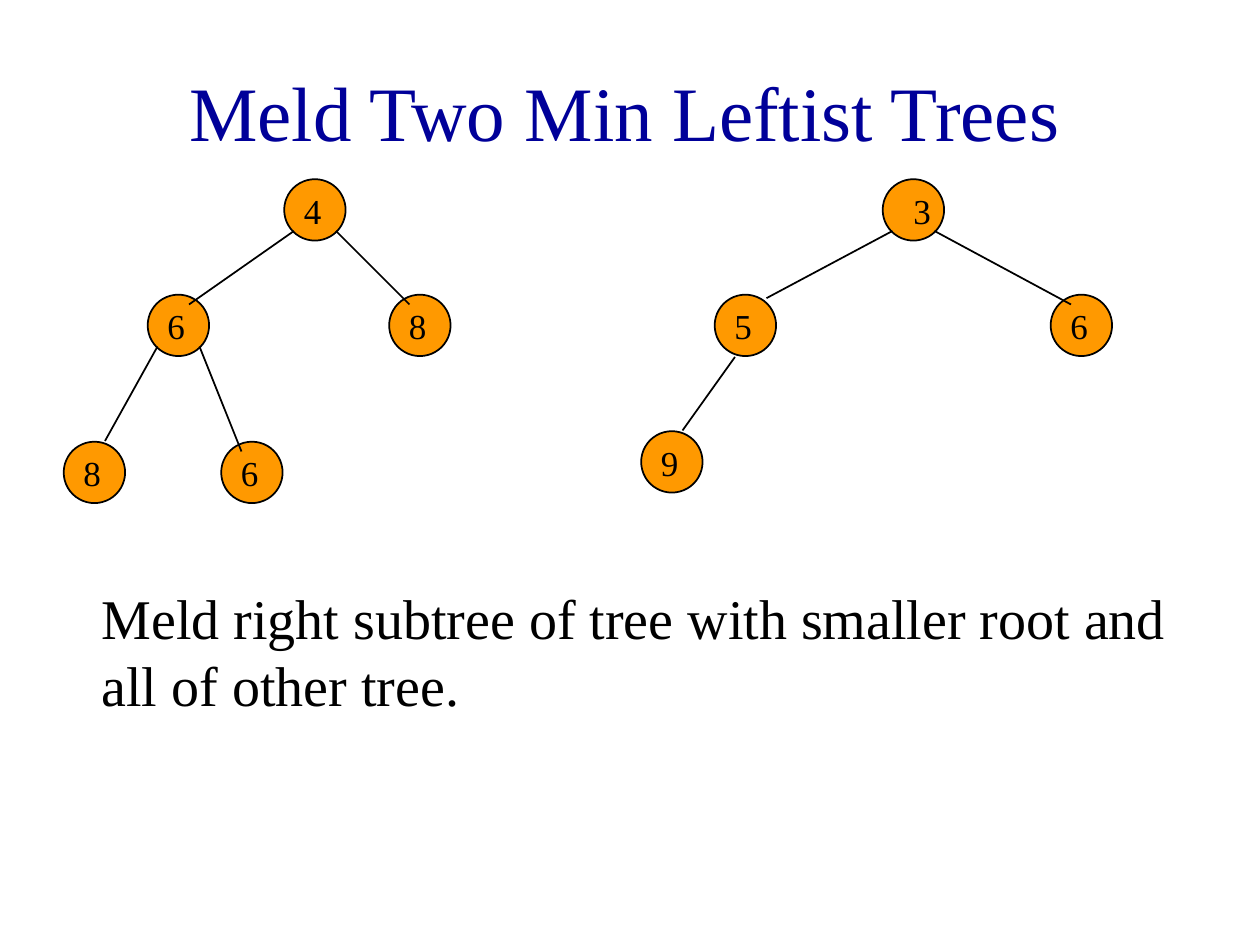
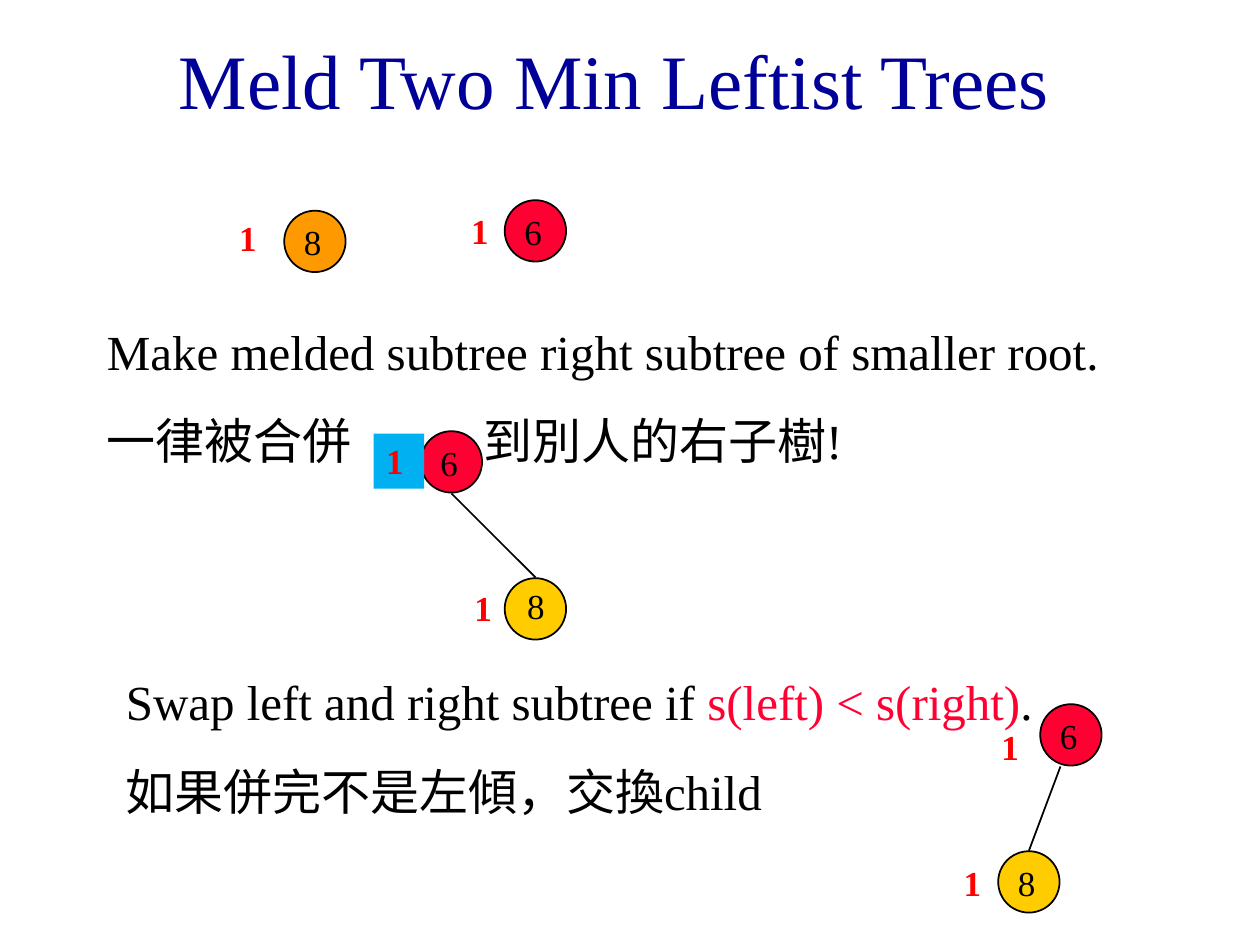
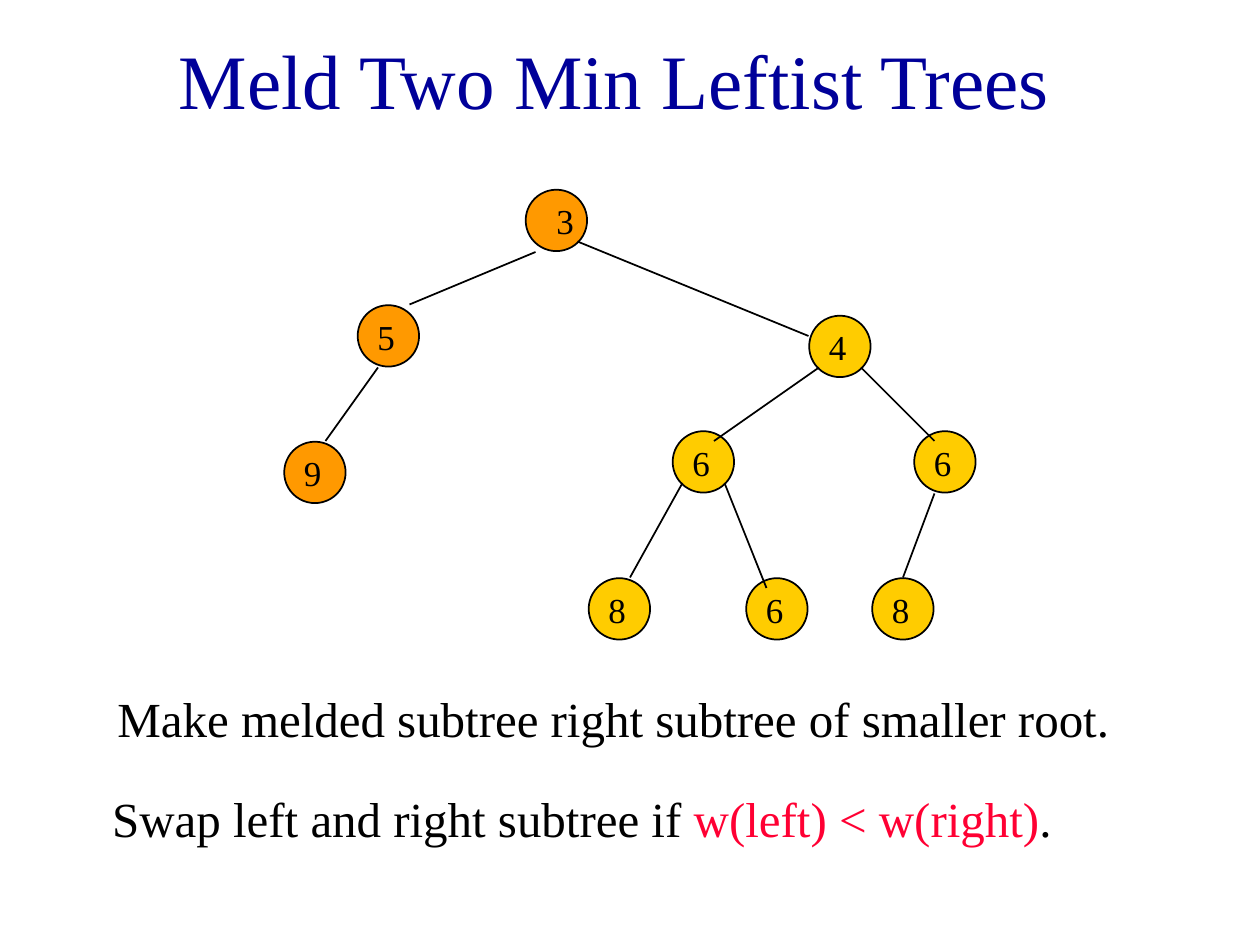
from pptx import Presentation
from pptx.dml.color import RGBColor as Rgb
from pptx.enum.shapes import MSO_CONNECTOR as Link, MSO_SHAPE as Kind
from pptx.enum.text import MSO_ANCHOR as Anchor, PP_ALIGN as Align
from pptx.oxml.ns import qn
from pptx.util import Inches, Pt
from lxml.etree import SubElement

# Shared grid: 120 columns by 90 rows
WIDE, HIGH = Inches(10), Inches(7.5)
COLS, ROWS = 120, 90
NODE = 5.85

# Shared style
FONT = "Times New Roman"
NAVY, BLACK, RED, MARK = "000099", "000000", "FF0033", "FF0000"
ORANGE, GOLD, BLUE = "FF9900", "FFCC00", "00B0F0"
TITLE = "Meld Two Min Leftist Trees"

# Trees: nodes are (digit, column, row), edges are (column, row, column, row)
FOUR = [("4", 27, 17), ("6", 14, 28), ("8", 6, 42), ("6", 21, 42)]
FOUR_EDGES = [(28, 22, 18, 29), (32, 22, 39, 29), (15, 33, 10, 42), (19, 33, 23, 43)]
FOUR_RIGHT = (37, 28)
THREE = [("3", 84, 17), ("5", 68, 28), ("9", 61, 41)]
THREE_EDGES = [(70, 34, 65, 41)]


def color(code):
    return Rgb.from_string(code)


def across(cols):
    return int(WIDE * cols / COLS)


def down(rows):
    return int(HIGH * rows / ROWS)


def area(col, row, wide, high):
    return across(col), down(row), across(wide), down(high)


def style(para, size, tint, bold=False):
    for run in para.runs:
        font = run.font
        font.name, font.size, font.bold = FONT, Pt(size), bold
        font.color.rgb = color(tint)


def label(slide, text, box, size, tint=BLACK, bold=False, wrap=True):
    shape = slide.shapes.add_textbox(*area(*box))
    frame = shape.text_frame
    frame.word_wrap = wrap
    frame.text = text
    for para in frame.paragraphs:
        style(para, size, tint, bold)
    return shape


def title(slide, col=0, row=0):
    frame = label(slide, TITLE, (col, row, 117, 15), 44, NAVY).text_frame
    frame.vertical_anchor = Anchor.MIDDLE
    frame.paragraphs[0].alignment = Align.CENTER


def body(slide, text, box, size=28):
    paras = label(slide, text, box, size).text_frame.paragraphs
    for para in paras[1:]:
        para.space_before = Pt(17.5)
    return paras


def swap(slide, test, more, box):
    """Rule for swapping, with its test in red."""
    para = body(slide, "Swap left and right subtree if " + more, box)[0]
    for text, tint in ((test, RED), (".", BLACK)):
        run = para.add_run()
        run.text = text
        style(para, 28, BLACK)
    para.runs[1].font.color.rgb = color(RED)


def tab(para, inches):
    props = para._p.get_or_add_pPr()
    stops = SubElement(props, qn("a:tabLst"))
    SubElement(stops, qn("a:tab"), pos=str(Inches(inches)), algn="l")


def node(slide, digit, col, row, fill=ORANGE, dx=0.7, dy=0.35):
    disc = slide.shapes.add_shape(Kind.OVAL, *area(col + 0.07, row + 0.07, NODE, NODE))
    disc.shadow.inherit = False
    disc.fill.solid()
    disc.fill.fore_color.rgb = color(fill)
    disc.line.color.rgb = color(BLACK)
    disc.line.width = Pt(1)
    label(slide, digit, (col + 0.07 + dx, row + 0.07 + dy, 4.1, 5.2), 20, wrap=False)


def edge(slide, col, row, col2, row2):
    line = slide.shapes.add_connector(
        Link.STRAIGHT, across(col), down(row), across(col2), down(row2))
    line.line.color.rgb = color(BLACK)
    line.line.width = Pt(1)
    SubElement(line._element.spPr, qn("a:effectLst"))


def tree(slide, nodes, edges, dx=0, dy=0, fill=ORANGE):
    for digit, col, row in nodes:
        shift = 1.75 if digit == "3" else 0.7
        node(slide, digit, col + dx, row + dy, fill, shift)
    for col, row, col2, row2 in edges:
        edge(slide, col + dx, row + dy, col2 + dx, row2 + dy)


def mark(slide, col, row, fill=None):
    """Red s value beside a node."""
    box = label(slide, "1", (col, row, 4.8, 5.25), 20, MARK, True)
    if fill:
        box.fill.solid()
        box.fill.fore_color.rgb = color(fill)


def split(slide):
    """Two trees to be melded."""
    title(slide, 1, 3)
    tree(slide, FOUR + [("8", *FOUR_RIGHT)], FOUR_EDGES)
    tree(slide, THREE + [("6", 100, 28)],
         THREE_EDGES + [(85, 22, 73, 28.4), (89, 22, 102, 29)])
    body(slide, "Meld right subtree of tree with smaller root and all of other tree.",
         (8.5, 55, 105, 14), 32)


def meld(slide):
    """Meld of two single nodes, then the swap."""
    title(slide)
    swap(slide, "s(left) < s(right)", "\n如果併完不是左傾，交換child", (10.8, 63.4, 98, 15.4))
    paras = body(slide, "Make melded subtree right subtree of smaller root.\n"
                 "一律被合併\t到別人的右子樹!", (9, 30, 105, 15.4))
    tab(paras[1], 2.99)
    node(slide, "8", 27, 20)
    for col, row in ((48, 19), (40, 41), (99, 67)):
        node(slide, "6", col, row, RED)
    node(slide, "8", 48, 55, GOLD, 0.95, 0)
    node(slide, "8", 95, 81, GOLD)
    edge(slide, 43, 47, 51, 55)
    edge(slide, 101, 73, 98, 81)
    for col, row in ((21.6, 20), (43.7, 19.4), (44, 55.3), (94.2, 68.5), (90.6, 81.5)):
        mark(slide, col, row)
    mark(slide, 35.6, 41.3, BLUE)


def whole(slide):
    """Final melded tree."""
    title(slide)
    tree(slide, THREE, THREE_EDGES, -34, 1)
    tree(slide, FOUR + [("6", *FOUR_RIGHT), ("8", 33, 42)],
         FOUR_EDGES + [(39, 34, 36, 42)], 50, 13, GOLD)
    edge(slide, 51, 24, 39, 29)
    edge(slide, 55, 23, 77, 32)
    body(slide, "Make melded subtree right subtree of smaller root.", (10, 65, 105, 6.8))
    swap(slide, "w(left) < w(right)", "", (9.5, 74.5, 98, 6.8))


def main():
    deck = Presentation()
    deck.slide_width, deck.slide_height = WIDE, HIGH
    for draw in (split, meld, whole):
        draw(deck.slides.add_slide(deck.slide_layouts[6]))
    deck.save("out.pptx")


if __name__ == "__main__":
    main()
